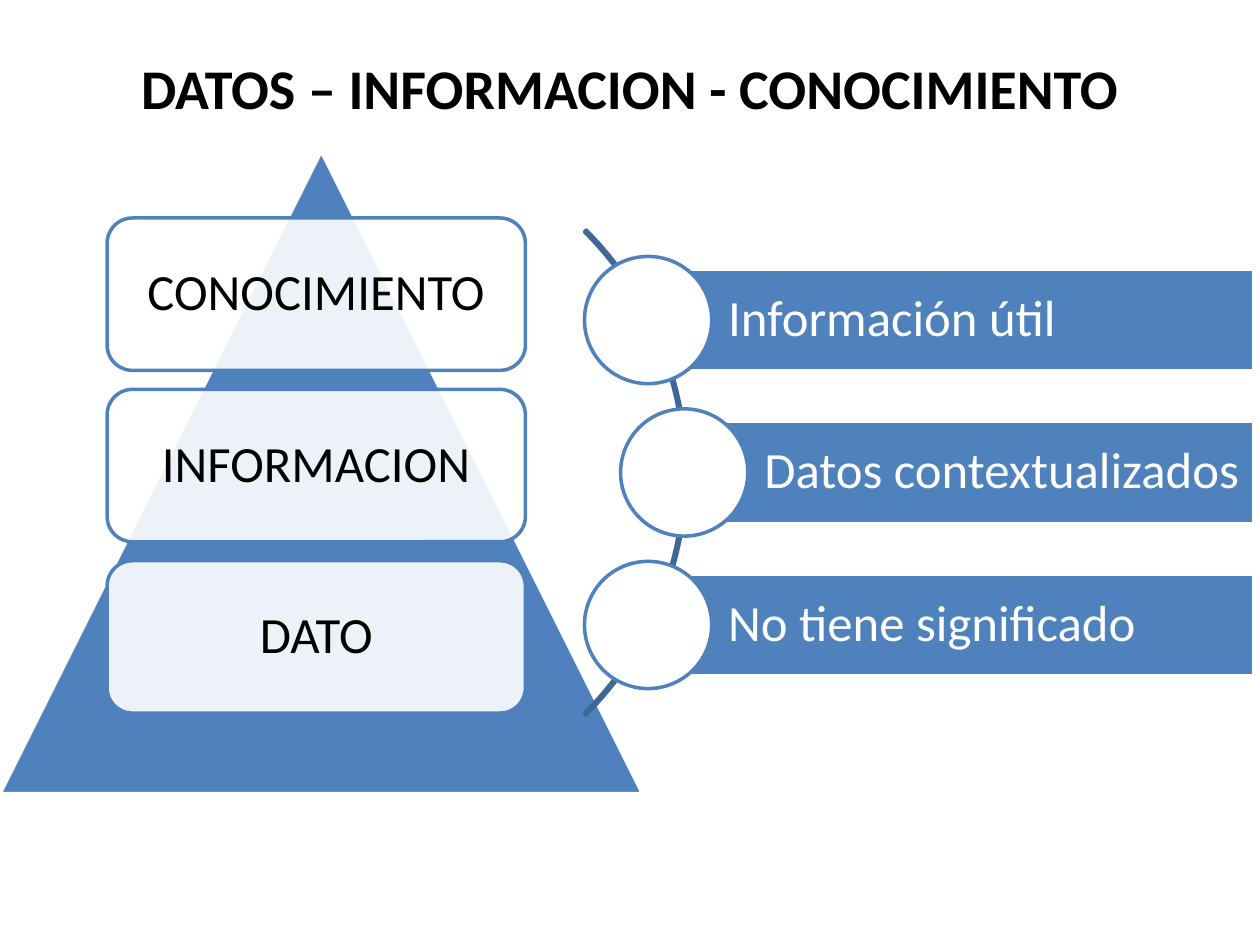
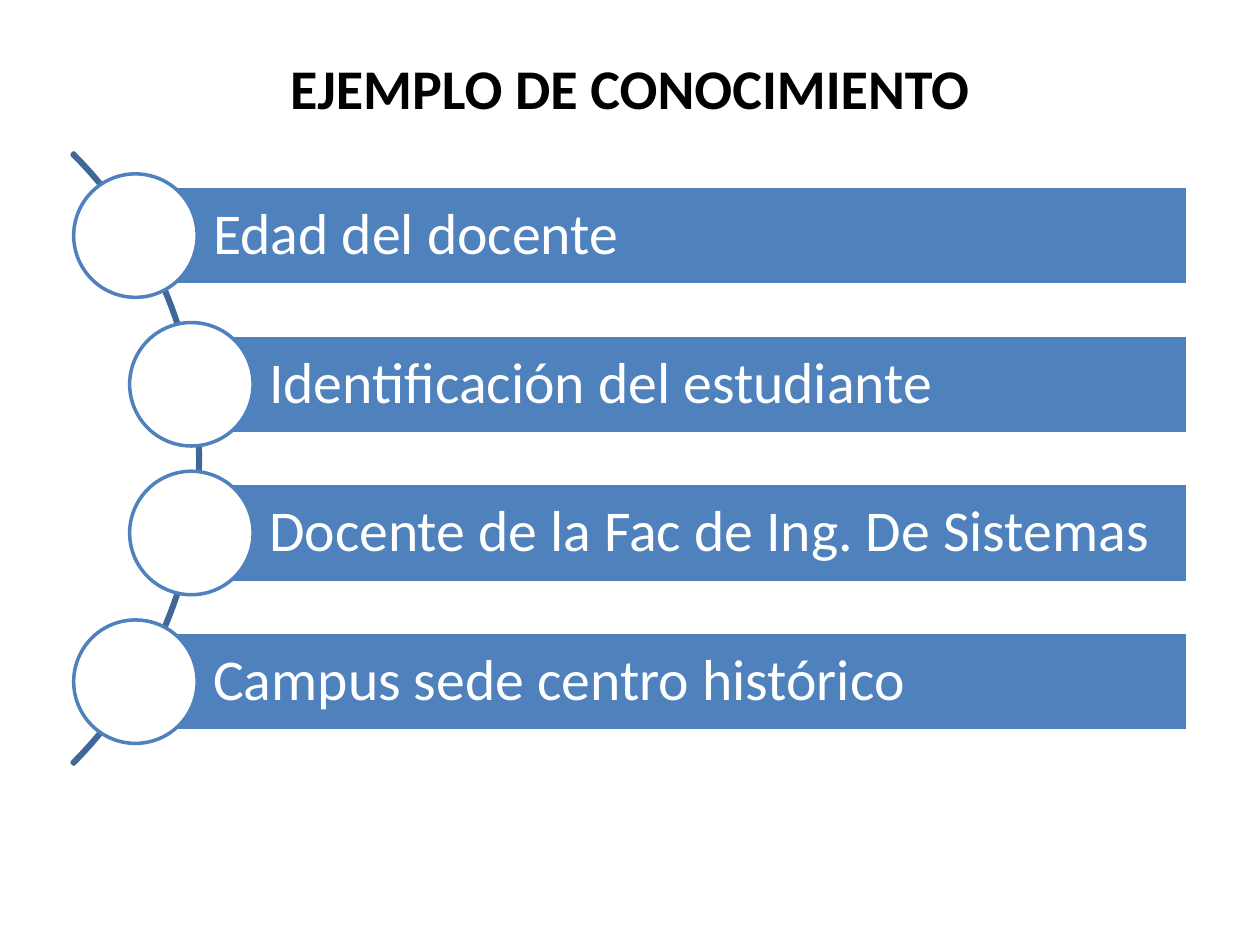
import math

import pptx
import pptx.dml.color
import pptx.enum.shapes
import pptx.enum.text
import pptx.oxml.ns
import pptx.util
from lxml import etree

Inches = pptx.util.Inches
Pt = pptx.util.Pt
SHAPES = pptx.enum.shapes.MSO_SHAPE
ALIGN = pptx.enum.text.PP_ALIGN
MIDDLE = pptx.enum.text.MSO_ANCHOR.MIDDLE

COLORS = {
    "blue": "4F81BD",
    "arc": "3F6797",
    "white": "FFFFFF",
    "black": "000000",
}
FONT = "Calibri"
TITLE_ONLY = 5


def rgb(name):
    return pptx.dml.color.RGBColor.from_string(COLORS[name])


def add_title(slide, text):
    title = slide.shapes.title
    title.left, title.top = Inches(0.5), Inches(0.3)
    title.width, title.height = Inches(9), Inches(0.79)
    frame = title.text_frame
    frame.text = text
    frame.auto_size = pptx.enum.text.MSO_AUTO_SIZE.NONE
    frame.vertical_anchor = MIDDLE
    format_paragraph(frame.paragraphs[0], 32, "black", ALIGN.CENTER)
    frame.paragraphs[0].font.bold = True


def format_paragraph(paragraph, size, color, align):
    paragraph.alignment = align
    paragraph.font.name = FONT
    paragraph.font.size = Pt(size)
    paragraph.font.color.rgb = rgb(color)


def add_figure(slide, preset, left, top, width, height, fill, line):
    figure = slide.shapes.add_shape(
        preset, Inches(left), Inches(top), Inches(width), Inches(height))
    figure.shadow.inherit = False
    if fill:
        figure.fill.solid()
        figure.fill.fore_color.rgb = rgb(fill)
    else:
        figure.fill.background()
    figure.line.color.rgb = rgb(line)
    figure.line.width = Pt(2)
    return figure


def write_label(figure, text, size, color, align, left_inset, right_inset):
    frame = figure.text_frame
    frame.word_wrap = True
    frame.vertical_anchor = MIDDLE
    frame.margin_left, frame.margin_right = Inches(left_inset), Inches(right_inset)
    frame.margin_top = frame.margin_bottom = Inches(0.08)
    frame.text = text
    paragraph = frame.paragraphs[0]
    paragraph.line_spacing = 0.9
    format_paragraph(paragraph, size, color, align)


def set_opacity(figure, percent):
    fill_color = figure.fill._xPr.find(".//" + pptx.oxml.ns.qn("a:srgbClr"))
    alpha = etree.SubElement(fill_color, pptx.oxml.ns.qn("a:alpha"))
    alpha.set("val", str(percent * 1000))


def add_pyramid(slide, levels):
    add_figure(slide, SHAPES.ISOSCELES_TRIANGLE, 0, 1.2, 5.1, 5.1, "blue", "white")
    for index, level in enumerate(levels):
        card = add_figure(slide, SHAPES.ROUNDED_RECTANGLE,
                          0.85, 1.73 + index * 1.36, 3.32, 1.21, "white", "blue")
        set_opacity(card, 90)
        write_label(card, level, 29, "black", ALIGN.CENTER, 0.18, 0.18)


def add_curved_list(slide, items, center_x, center_y, radius, pitch, circle, right, size):
    arc = add_figure(slide, SHAPES.BLOCK_ARC, center_x - radius, center_y - radius,
                     2 * radius, 2 * radius, None, "arc")
    arc.adjustments[0] = 189
    arc.adjustments[1] = 27
    arc.adjustments[2] = 0.02 / (2 * radius)

    bar_height = circle * 0.8
    for index, item in enumerate(items):
        offset = (index - (len(items) - 1) / 2) * pitch
        x = center_x + math.sqrt((radius - 0.02) ** 2 - offset ** 2)
        y = center_y + offset
        bar = add_figure(slide, SHAPES.RECTANGLE, x, y - bar_height / 2,
                         right - x, bar_height, "blue", "white")
        write_label(bar, item, size, "white", ALIGN.LEFT, circle * 0.63, 0)
        add_figure(slide, SHAPES.OVAL, x - circle / 2, y - circle / 2,
                   circle, circle, "white", "blue")


def main():
    deck = pptx.Presentation()
    deck.slide_width, deck.slide_height = Inches(10), Inches(7.5)
    layout = deck.slide_layouts[TITLE_ONLY]

    concepts = deck.slides.add_slide(layout)
    add_title(concepts, "DATOS – INFORMACION - CONOCIMIENTO")
    add_pyramid(concepts, ["CONOCIMIENTO", "INFORMACION", "DATO"])
    add_curved_list(
        concepts,
        ["Información útil", "Datos contextualizados", "No tiene significado"],
        center_x=2.73, center_y=3.75, radius=2.72, pitch=1.21,
        circle=1.01, right=9.95, size=29)

    example = deck.slides.add_slide(layout)
    add_title(example, "EJEMPLO DE CONOCIMIENTO")
    add_curved_list(
        example,
        ["Edad del docente", "Identificación del estudiante",
         "Docente de la Fac de Ing. De Sistemas", "Campus sede centro histórico"],
        center_x=-1.84, center_y=3.64, radius=3.43, pitch=1.18,
        circle=0.98, right=9.43, size=33)

    deck.save("out.pptx")


if __name__ == "__main__":
    main()
